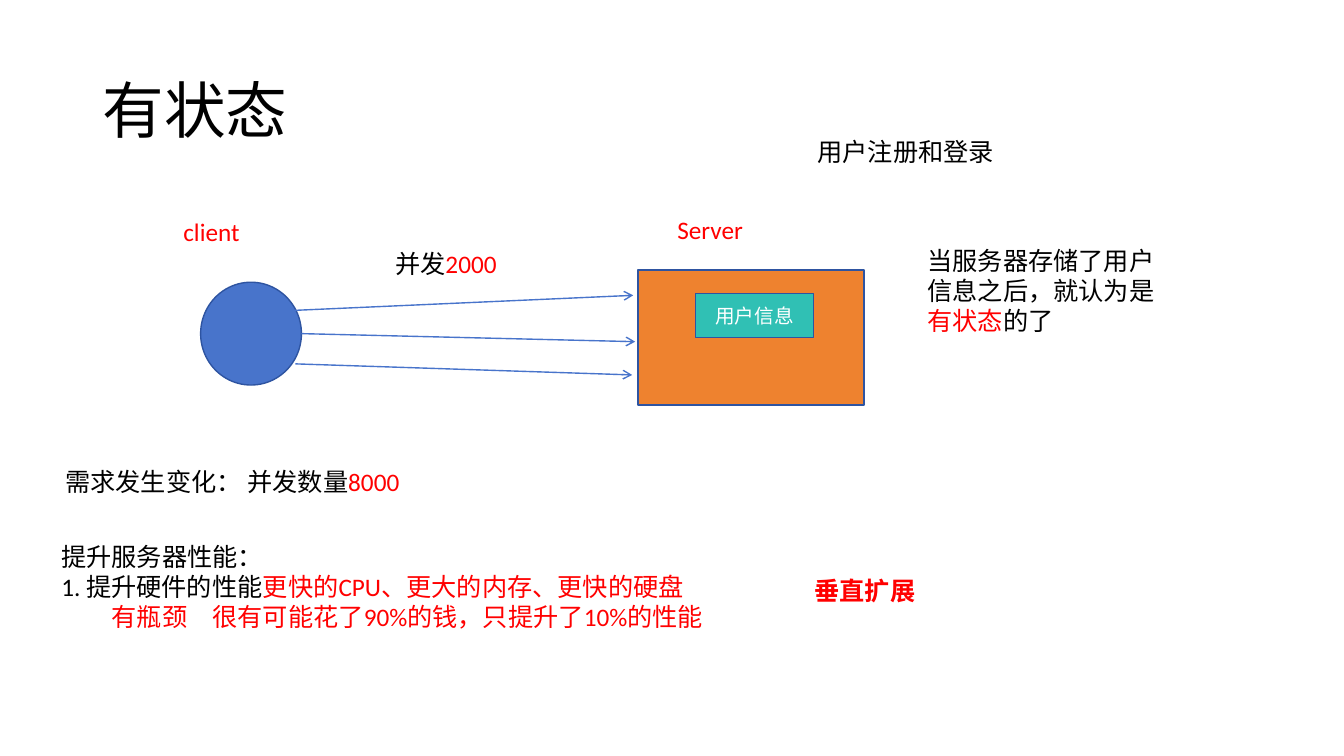
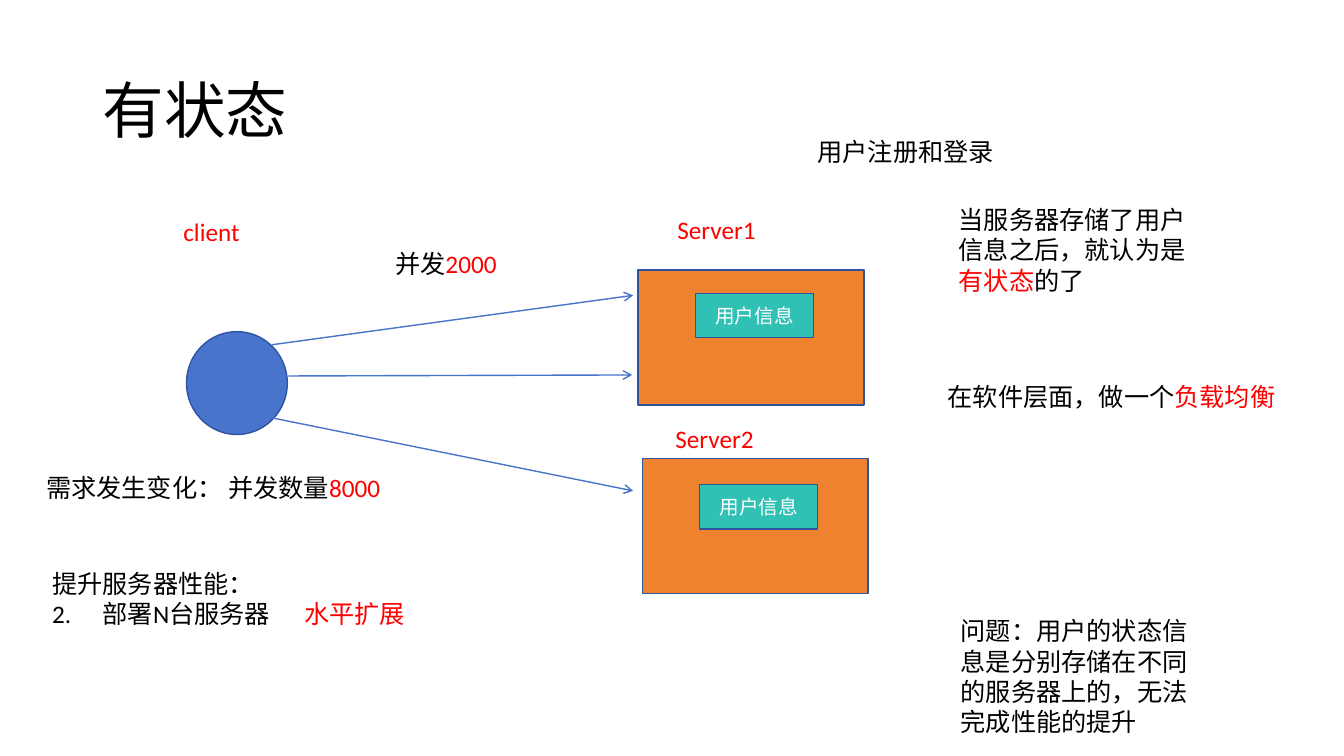
from lxml import etree
from pptx import Presentation
from pptx.dml.color import RGBColor
from pptx.enum import shapes, text
from pptx.oxml import ns
from pptx.util import Inches, Pt

BLACK = RGBColor(0x00, 0x00, 0x00)
WHITE = RGBColor(0xFF, 0xFF, 0xFF)
RED = RGBColor(0xFF, 0x00, 0x00)
BLUE = RGBColor(0x48, 0x74, 0xCB)
NAVY = RGBColor(0x2E, 0x54, 0xA1)
ORANGE = RGBColor(0xEE, 0x82, 0x2F)
TEAL = RGBColor(0x30, 0xC0, 0xB4)

BODY = {"name": "Calibri", "size": Pt(18)}
HEAD = {**BODY, "size": Pt(44)}
SMALL = {**BODY, "size": Pt(14)}
BOLD = {**BODY, "bold": True}
NOTE = {"word_wrap": True, "auto_size": text.MSO_AUTO_SIZE.SHAPE_TO_FIT_TEXT}
MID = {"word_wrap": True, "vertical_anchor": text.MSO_ANCHOR.MIDDLE}


def style(item, form):
    for key, value in form.items():
        setattr(item, key, value)


def sub(node, tag, **attrs):
    return etree.SubElement(node, ns.qn(tag), **attrs)


def write(para, runs, font=BODY):
    for words, color in runs:
        run = para.add_run()
        run.text = words
        style(run.font, font)
        run.font.color.rgb = color


def set_tabs(para, stops, indent=0):
    props = para._p.get_or_add_pPr()
    props.set("marL", "0")
    props.set("indent", str(Inches(indent)))
    tabs = sub(props, "a:tabLst")
    for stop in stops:
        sub(tabs, "a:tab", pos=str(Inches(stop)), algn="l")


def add_box(slide, x, y, w, h, form=NOTE):
    box = slide.shapes.add_textbox(Inches(x), Inches(y), Inches(w), Inches(h))
    style(box.text_frame, form)
    return box.text_frame


def add_note(slide, x, y, w, *runs, lines=1, font=BODY):
    frame = add_box(slide, x, y, w, 0.1 + 0.3 * lines)
    write(frame.paragraphs[0], runs, font)


def add_list(slide, x, y, w, *rows):
    frame = add_box(slide, x, y, w, 0.4 + 0.3 * len(rows))
    write(frame.paragraphs[0], [("提升服务器性能：", BLACK)])
    for runs, stops, indent in rows:
        para = frame.add_paragraph()
        set_tabs(para, stops, indent)
        write(para, runs)


def add_form(slide, kind, x, y, w, h, fill):
    form = slide.shapes.add_shape(kind, Inches(x), Inches(y), Inches(w), Inches(h))
    form.shadow.inherit = False
    form.fill.solid()
    form.fill.fore_color.rgb = fill
    form.line.color.rgb = NAVY
    form.line.width = Pt(1)
    return form


def add_client(slide, x, y):
    add_form(slide, shapes.MSO_SHAPE.OVAL, x, y, 1, 1.02, BLUE)
    add_note(slide, 1.72, 2.1, 2.18, ("client", RED))


def add_server(slide, x, y, dip):
    rect = shapes.MSO_SHAPE.RECTANGLE
    add_form(slide, rect, x, y, 2.24, 1.34, ORANGE)
    frame = add_form(slide, rect, x + 0.57, y + dip, 1.17, 0.44, TEAL).text_frame
    style(frame, MID)
    para = frame.paragraphs[0]
    para.alignment = text.PP_ALIGN.CENTER
    write(para, [("用户信息", WHITE)], SMALL)


def add_arrow(slide, *ends):
    line = slide.shapes.add_connector(shapes.MSO_CONNECTOR.STRAIGHT, *map(Inches, ends))
    line.line.color.rgb = BLUE
    line.line.width = Pt(1)
    props = line._element.spPr
    sub(props.find(ns.qn("a:ln")), "a:tailEnd", type="arrow")
    sub(props, "a:effectLst")


def add_scene(deck, name, circle, arrows, state, demand):
    slide = deck.slides.add_slide(deck.slide_layouts[6])
    para = add_box(slide, 0.92, 0.4, 11.5, 1.45, MID).paragraphs[0]
    para.line_spacing = 0.9
    write(para, [("有状态", BLACK)], HEAD)
    add_client(slide, *circle)
    add_server(slide, 6.33, 2.68, 0.23)
    for ends in arrows:
        add_arrow(slide, *ends)
    add_note(slide, 6.62, 2.08, 1.18, (name, RED))
    add_note(slide, 8.01, 1.3, 2.07, ("用户注册和登录", BLACK))
    add_note(slide, *state, 2.59, ("当服务器存储了用户信息之后，就认为是", BLACK),
             ("有状态", RED), ("的了", BLACK), lines=3)
    add_note(slide, 3.82, 2.41, 1.61, ("并发", BLACK), ("2000", RED))
    add_note(slide, *demand, 4.97, ("需求发生变化： 并发数量", BLACK), ("8000", RED))
    return slide


def add_scale_up(deck):
    arrows = [(2.9, 3.08, 6.28, 2.93), (2.99, 3.31, 6.3, 3.39), (2.93, 3.61, 6.27, 3.72)]
    slide = add_scene(deck, "Server", (1.99, 2.8), arrows, (9.1, 2.38), (0.55, 4.58))
    add_list(
        slide, 0.51, 5.32, 10.3,
        ([("1. 提升硬件的性能\t", BLACK), ("更快的CPU、更大的内存、更快的硬盘", RED)], [2.22], 0),
        ([("有瓶颈\t很有可能花了90%的钱，只提升了10%的性能", RED)], [1.57], 0.5),
    )
    add_note(slide, 7.98, 5.66, 3.22, ("垂直扩展", RED), font=BOLD)


def add_scale_out(deck):
    arrows = [(2.7, 3.42, 6.28, 2.93), (2.67, 4.14, 6.28, 4.87), (2.86, 3.73, 6.27, 3.72)]
    slide = add_scene(deck, "Server1", (1.85, 3.29), arrows, (9.41, 1.98), (0.36, 4.64))
    add_list(
        slide, 0.42, 5.59, 10.3,
        ([("2.\t部署N台服务器\t", BLACK), ("水平扩展", RED)], [0.36, 2.43], 0),
    )
    add_server(slide, 6.37, 4.55, 0.26)
    add_note(slide, 9.3, 3.73, 3.59, ("在软件层面，做一个", BLACK), ("负载均衡", RED))
    add_note(slide, 6.6, 4.15, 2.03, ("Server2", RED))
    add_note(slide, 9.43, 6.06, 2.69,
             ("问题：用户的状态信息是分别存储在不同的服务器上的，无法完成性能的提升", BLACK), lines=4)


def main():
    deck = Presentation()
    deck.slide_width = Inches(13.33)
    deck.slide_height = Inches(7.5)
    add_scale_up(deck)
    add_scale_out(deck)
    deck.save("out.pptx")


if __name__ == "__main__":
    main()
